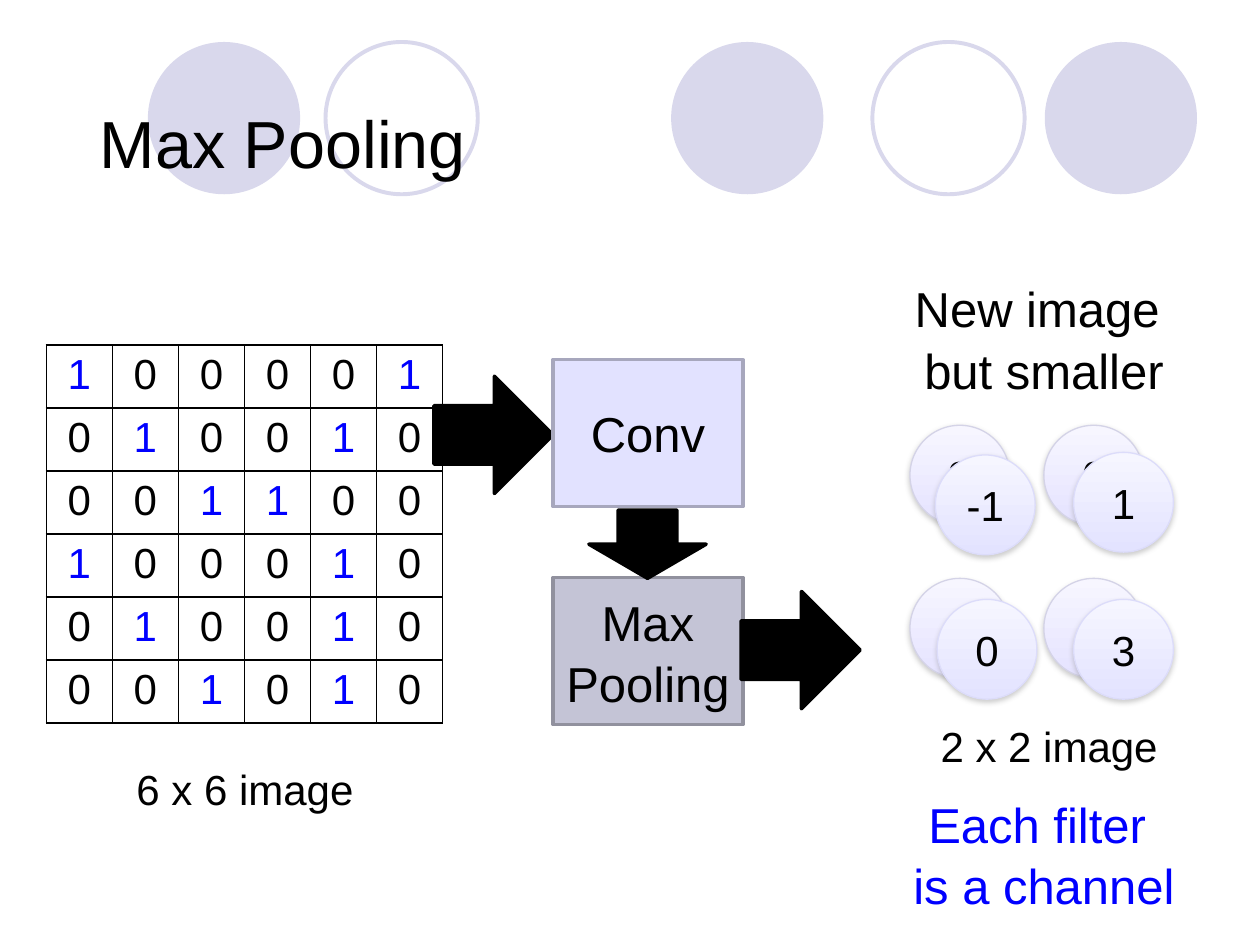
from lxml.etree import SubElement
from pptx import Presentation
from pptx.dml.color import RGBColor
from pptx.enum.shapes import MSO_SHAPE
from pptx.enum.text import MSO_ANCHOR, PP_ALIGN
from pptx.oxml import parse_xml
from pptx.oxml.ns import nsdecls, qn
from pptx.util import Pt

BLACK = RGBColor(0x00, 0x00, 0x00)
BLUE = RGBColor(0x00, 0x00, 0xFF)
LAVENDER = RGBColor(0xD9, 0xD8, 0xEC)
CONV_FILL = RGBColor(0xE2, 0xE2, 0xFF)
CONV_LINE = RGBColor(0xA7, 0xA7, 0xBD)
POOL_FILL = RGBColor(0xC4, 0xC4, 0xD6)
POOL_LINE = RGBColor(0x91, 0x91, 0x9E)
# Each channel: gradient top, gradient bottom, outline
BACK_CHANNEL = (RGBColor(0xF7, 0xF6, 0xFF), RGBColor(0xE5, 0xE3, 0xFF), RGBColor(0xD4, 0xD3, 0xE7))
FRONT_CHANNEL = (RGBColor(0xF6, 0xF6, 0xFF), RGBColor(0xE3, 0xE3, 0xFF), RGBColor(0xDC, 0xDC, 0xFA))

IMAGE_ROWS = ["100001", "010010", "001100", "100010", "010010", "001010"]


def write(frame, text, size, color=BLACK, align=PP_ALIGN.CENTER):
    frame.text = text
    frame.word_wrap = True
    for para in frame.paragraphs:
        para.alignment = align
        if "\n" in text:
            para.line_spacing = 1.05
        for span in para.runs:
            span.font.name = "Arial"
            span.font.size = Pt(size)
            span.font.color.rgb = color


def add_label(page, left, top, width, height, text, size, color=BLACK):
    box = page.shapes.add_textbox(Pt(left), Pt(top), Pt(width), Pt(height))
    write(box.text_frame, text, size, color)
    return box


def add_figure(page, kind, left, top, width, height, fill=None, line=None, weight=2):
    figure = page.shapes.add_shape(kind, Pt(left), Pt(top), Pt(width), Pt(height))
    figure.shadow.inherit = False
    if fill is None:
        figure.fill.background()
    else:
        figure.fill.solid()
        figure.fill.fore_color.rgb = fill
    if line is None:
        figure.line.fill.background()
    else:
        figure.line.color.rgb = line
        figure.line.width = Pt(weight)
    return figure


def write_inside(figure, text, size):
    frame = figure.text_frame
    frame.margin_left = frame.margin_right = frame.margin_top = frame.margin_bottom = 0
    frame.vertical_anchor = MSO_ANCHOR.MIDDLE
    write(frame, text, size)


def add_header(page, left, top, width, height):
    # Row of decorative circles behind the title
    for offset, filled in ((34.5, True), (136, False), (333.5, True), (448.5, False), (547, True)):
        add_figure(page, MSO_SHAPE.OVAL, left + offset, top - 5, 87, 87,
                   LAVENDER if filled else None, None if filled else LAVENDER, 2.25)
    title = page.shapes.add_textbox(Pt(left), Pt(top), Pt(width), Pt(height))
    title.text_frame.vertical_anchor = MSO_ANCHOR.MIDDLE
    write(title.text_frame, "Max Pooling", 38, align=PP_ALIGN.LEFT)


def add_borders(cell):
    properties = cell._tc.get_or_add_tcPr()
    for position, side in enumerate(("lnL", "lnR", "lnT", "lnB")):
        border = parse_xml(
            f'<a:{side} {nsdecls("a")} w="12700"><a:solidFill>'
            f'<a:srgbClr val="{BLACK}"/></a:solidFill></a:{side}>')
        properties.insert(position, border)


def add_input_image(page, left, top, width, height):
    # Grid of pixels, ones in blue
    count = len(IMAGE_ROWS)
    table = page.shapes.add_table(count, count, Pt(left), Pt(top), Pt(width), Pt(height)).table
    table.first_row = table.horz_banding = False
    for row, digits in enumerate(IMAGE_ROWS):
        table.rows[row].height = Pt(height / count)
        table.columns[row].width = Pt(width / count)
        for column, digit in enumerate(digits):
            cell = table.cell(row, column)
            cell.fill.background()
            write(cell.text_frame, digit, 24, BLUE if digit == "1" else BLACK)
            add_borders(cell)
    add_label(page, left + 21, top + 236, 185, 36.5, "6 x 6 image", 24)


def add_channel_value(page, left, top, text, colors):
    start, end, outline = colors
    circle = add_figure(page, MSO_SHAPE.OVAL, left, top, 57, 57, start, outline, 0.75)
    circle.fill.gradient()
    circle.fill.gradient_angle = 270
    for stop, color in zip(circle.fill.gradient_stops, (start, end)):
        stop.color.rgb = color
    # Soft shadow below
    effects = circle._element.spPr.find(qn("a:effectLst"))
    shadow = SubElement(effects, qn("a:outerShdw"), blurRad=str(Pt(3.1)),
                        dist=str(Pt(1.6)), dir="5400000", rotWithShape="0")
    shade = SubElement(shadow, qn("a:srgbClr"), val="808080")
    SubElement(shade, qn("a:alpha"), val="38000")
    if text:
        write_inside(circle, text, 24)


def add_output_image(page, left, top, width):
    # Two overlapping 2 x 2 channels with their captions
    for x, y, text in ((13, 89, "3"), (89.5, 89, "0"), (89.5, 176.5, ""), (13, 176.5, "")):
        add_channel_value(page, left + x, top + y, text, BACK_CHANNEL)
    for x, y, text in ((27.5, 106, "-1"), (106.5, 104.5, "1"), (106.5, 188.5, "3"), (28.5, 188.5, "0")):
        add_channel_value(page, left + x, top + y, text, FRONT_CHANNEL)
    add_label(page, left, top, width, 75, "New image \nbut smaller", 28)
    add_label(page, left, top + 254, width + 6, 36.5, "2 x 2 image", 24)
    add_label(page, left, top + 294.5, width, 75.5, "Each filter \nis a channel", 28, BLUE)


def add_pipeline(page, left, top, width, height):
    # Arrow into Conv, the two steps, arrow out, arrow between the steps
    arrow = MSO_SHAPE.RIGHT_ARROW
    add_figure(page, arrow, left - 68, top + 9.5, 68, 67, BLACK, BLACK)
    for offset, text, fill, line in ((0, "Conv", CONV_FILL, CONV_LINE),
                                     (124.5, "Max\nPooling", POOL_FILL, POOL_LINE)):
        step = add_figure(page, MSO_SHAPE.RECTANGLE, left, top + offset, width, height, fill, line)
        write_inside(step, text, 28)
    add_figure(page, arrow, left + width - 1, top + 132.5, 68, 67, BLACK, BLACK)
    down = add_figure(page, arrow, left + 34.5, top + 72, 39, 67, BLACK, BLACK)
    down.rotation = 90


def main():
    deck = Presentation()
    deck.slide_width, deck.slide_height = Pt(720), Pt(540)
    page = deck.slides.add_slide(deck.slide_layouts[6])
    add_header(page, 50, 29, 620, 104)
    add_input_image(page, 26.5, 197, 226.5, 204)
    add_output_image(page, 507, 154, 179)
    add_pipeline(page, 316, 205.5, 108.5, 84)
    deck.save("out.pptx")


if __name__ == "__main__":
    main()
